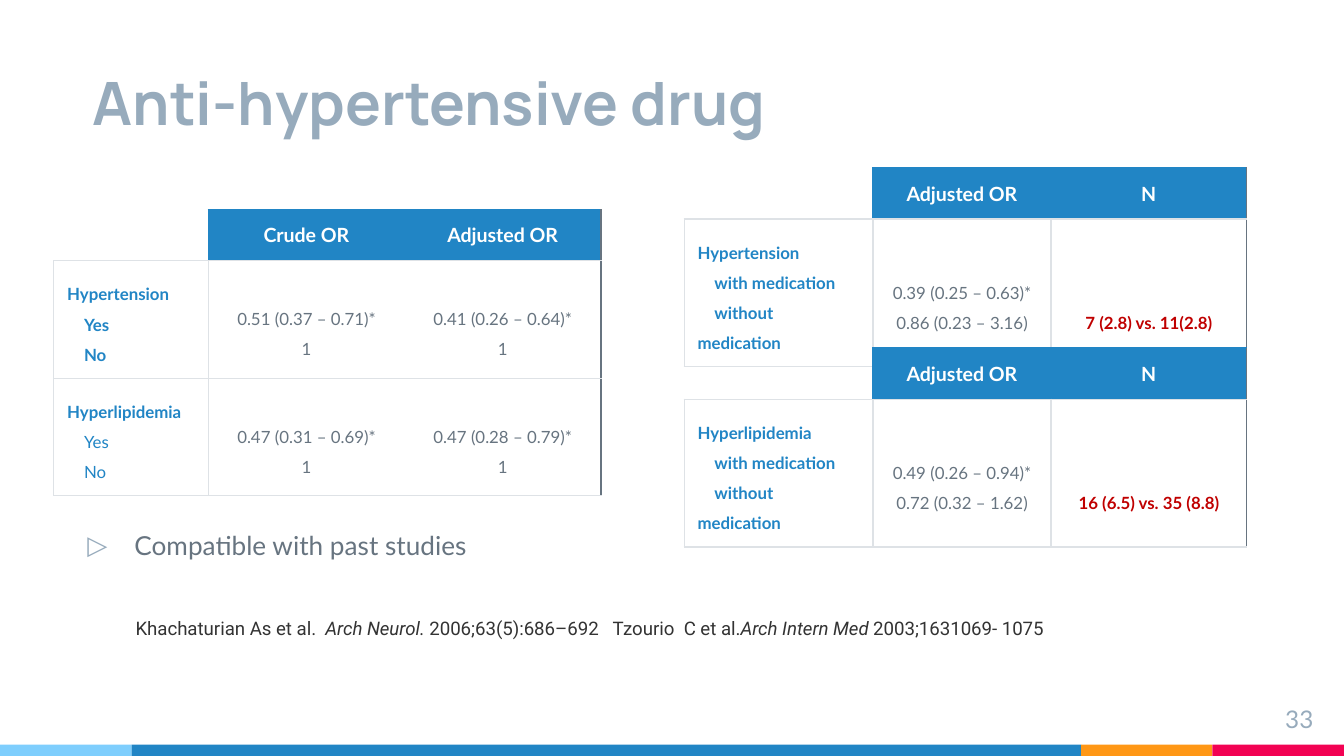
from itertools import accumulate

from lxml.etree import SubElement
from pptx import Presentation
from pptx.dml.color import RGBColor
from pptx.enum.shapes import MSO_SHAPE as Shape
from pptx.enum.text import MSO_ANCHOR as Anchor, MSO_AUTO_SIZE as Fit, PP_ALIGN as Align
from pptx.oxml.ns import qn
from pptx.util import Inches, Pt

CELL = Inches(0.1)
COLUMNS, ROWS = 100, 56.25
BLUE, SKY, ORANGE, PINK = "2185C5", "7ECEFD", "FF9715", "F20253"
MIST, SLATE, RULE, RED, INK, WHITE = "97ABBC", "677480", "DEE2E6", "C00000", "333333", "FFFFFF"
LINE = 2.25
STUB_INDENT = 1.25


def color(code):
    return RGBColor.from_string(code)


def grid(*counts):
    return [round(count * CELL) for count in counts]


def style(font, size, code, name="Lato", bold=False):
    font.size, font.name, font.bold = Pt(size), name, bold
    font.color.rgb = color(code)


def place(shape, *area):
    shape.left, shape.top, shape.width, shape.height = grid(*area)


def set_frame(frame, anchor=Anchor.TOP, side=1, end=1):
    frame.word_wrap, frame.auto_size = True, Fit.NONE
    frame.vertical_anchor = anchor
    frame.margin_left = frame.margin_right = grid(side)[0]
    frame.margin_top = frame.margin_bottom = grid(end)[0]


def add_stripes(page):
    widths = (9.8, 70.65, 9.75, 9.8)
    lefts = accumulate(widths, initial=0)
    for left, width, code in zip(lefts, widths, (SKY, BLUE, ORANGE, PINK)):
        stripe = page.shapes.add_shape(Shape.RECTANGLE, *grid(left, 55.4, width, 0.85))
        stripe.shadow.inherit = False
        stripe.fill.solid()
        stripe.fill.fore_color.rgb = color(code)
        stripe.line.fill.background()


def set_title(page, text):
    title = page.shapes.title
    place(title, 5.9, 1.85, 70.7, 9.4)
    set_frame(title.text_frame, Anchor.BOTTOM)
    para = title.text_frame.paragraphs[0]
    para.text, para.alignment = text, Align.LEFT
    style(para.font, 32, MIST, "Manrope", True)


def set_list(page, items):
    body = page.placeholders[1]
    place(body, 4, 38.4, 77.6, 13.1)
    set_frame(body.text_frame)
    body.text_frame.text = "\n".join(items)
    for para in body.text_frame.paragraphs:
        para.space_before = Pt(6)
        style(para.font, 14, SLATE)
        settings = para._p.get_or_add_pPr()
        settings.set("marL", str(Inches(0.5)))
        settings.set("indent", str(Inches(-0.35)))
        tint = settings.makeelement(qn("a:buClr"))
        SubElement(tint, qn("a:srgbClr"), val=MIST)
        mark = settings.makeelement(qn("a:buChar"), char="▷")
        settings.find(qn("a:defRPr")).addprevious(tint)
        tint.addnext(mark)


def add_page_number(page, number):
    box = page.shapes.add_textbox(*grid(92.7, 51.4, 6, 3.4))
    set_frame(box.text_frame)
    para = box.text_frame.paragraphs[0]
    para.text, para.alignment = number, Align.RIGHT
    style(para.font, 13, MIST)


def add_citation(page, left, authors, journal, issue):
    box = page.shapes.add_textbox(*grid(left, 45.4, 43.5, 2.7))
    set_frame(box.text_frame, end=0.5)
    para = box.text_frame.paragraphs[0]
    style(para.font, 10, INK, "Roboto")
    for text in (authors, journal, issue):
        span = para.add_run()
        span.text = text
        span.font.italic = text == journal


def set_borders(cell, edges):
    settings = cell._tc.get_or_add_tcPr()
    for side in "LRTB":
        code = edges.get(side)
        width = Pt(1) if code == SLATE else Pt(0.75)
        line = SubElement(settings, qn(f"a:ln{side}"), w=str(width))
        if code:
            SubElement(SubElement(line, qn("a:solidFill")), qn("a:srgbClr"), val=code)
        else:
            SubElement(line, qn("a:noFill"))


def cell_edges(row, column, divided):
    if (row, column) == (0, 0):
        return {"R": BLUE, "B": RULE}
    inner = BLUE if row == 0 else RULE
    top = BLUE if row == 0 else RULE
    edges = {"L": inner, "R": inner, "T": top, "B": RULE}
    if column == 2:
        edges["R"] = SLATE
    if not divided and column:
        edges.pop("R" if column == 1 else "L")
    return edges


def fill_cell(cell, lines, size, code, bold=False, align=Align.CENTER, spacing=1.0, headroom=1):
    cell.vertical_anchor = Anchor.MIDDLE
    cell.margin_left = cell.margin_right = cell.margin_bottom = grid(1)[0]
    cell.margin_top = grid(headroom)[0]
    cell.text_frame.text = "\n".join(lines)
    for para in cell.text_frame.paragraphs:
        para.alignment, para.line_spacing = align, spacing
        style(para.font, size, code, bold=bold)


def fill_stub(cell, lines, bold_levels):
    fill_cell(cell, lines, 9, BLUE, True, Align.LEFT, 1.5)
    for para in cell.text_frame.paragraphs[1:]:
        para.font.bold = bold_levels
        para._p.get_or_add_pPr().set("indent", str(grid(STUB_INDENT)[0]))


def fill_values(cell, lines):
    single = len(lines) == 1
    headroom = 2.45 + LINE * (2 - len(lines))
    fill_cell(cell, lines, 9, RED if single else SLATE, single, spacing=1.5, headroom=headroom)


def add_odds_table(page, left, top, widths, heads, groups, divided):
    heights = [3.8] + [8.5] * len(groups)
    area = grid(left, top, sum(widths), sum(heights))
    table = page.shapes.add_table(len(heights), len(widths), *area).table
    table.first_row = table.horz_banding = False
    for column, width in zip(table.columns, grid(*widths)):
        column.width = width
    for row, height in zip(table.rows, grid(*heights)):
        row.height = height
    for row in range(len(heights)):
        for column in range(len(widths)):
            cell = table.cell(row, column)
            set_borders(cell, cell_edges(row, column, divided))
            cell.fill.background()
    corner = table.cell(0, 0)
    corner.margin_top = corner.margin_bottom = 0
    for column, head in enumerate(heads, 1):
        cell = table.cell(0, column)
        cell.fill.solid()
        cell.fill.fore_color.rgb = color(BLUE)
        fill_cell(cell, [head], 10.5, WHITE, True)
    for row, (stub, bold_levels, *values) in enumerate(groups, 1):
        fill_stub(table.cell(row, 0), stub, bold_levels)
        for column, lines in enumerate(values, 1):
            fill_values(table.cell(row, column), lines)


def main():
    deck = Presentation()
    deck.slide_width, deck.slide_height = grid(COLUMNS, ROWS)
    page = deck.slides.add_slide(deck.slide_layouts[1])
    add_stripes(page)
    set_title(page, "Anti-hypertensive drug")
    add_page_number(page, "33")
    add_odds_table(page, 4, 15.6, (11.5, 14.6, 14.6), ("Crude OR", "Adjusted OR"), [
        (("Hypertension", "Yes", "No"), True,
         ("0.51 (0.37 – 0.71)*", "1"), ("0.41 (0.26 – 0.64)*", "1")),
        (("Hyperlipidemia", "Yes", "No"), False,
         ("0.47 (0.31 – 0.69)*", "1"), ("0.47 (0.28 – 0.79)*", "1")),
    ], divided=False)
    medication = ("with medication", "without medication")
    for top, disease, ratios, count in (
        (12.5, "Hypertension", ("0.39 (0.25 – 0.63)*", "0.86 (0.23 – 3.16)"), "7 (2.8) vs. 11(2.8)"),
        (25.9, "Hyperlipidemia", ("0.49 (0.26 – 0.94)*", "0.72 (0.32 – 1.62)"), "16 (6.5) vs. 35 (8.8)"),
    ):
        groups = [((disease, *medication), True, ratios, (count,))]
        add_odds_table(page, 50.9, top, (14.05, 13.25, 14.55), ("Adjusted OR", "N"), groups, divided=True)
    set_list(page, ["Compatible with past studies"])
    add_citation(page, 9.1, "Khachaturian As et al.  ", "Arch Neurol.", " 2006;63(5):686–692")
    add_citation(page, 44.6, "Tzourio  C et al.", "Arch Intern Med", " 2003;1631069- 1075")
    deck.save("out.pptx")


if __name__ == "__main__":
    main()
